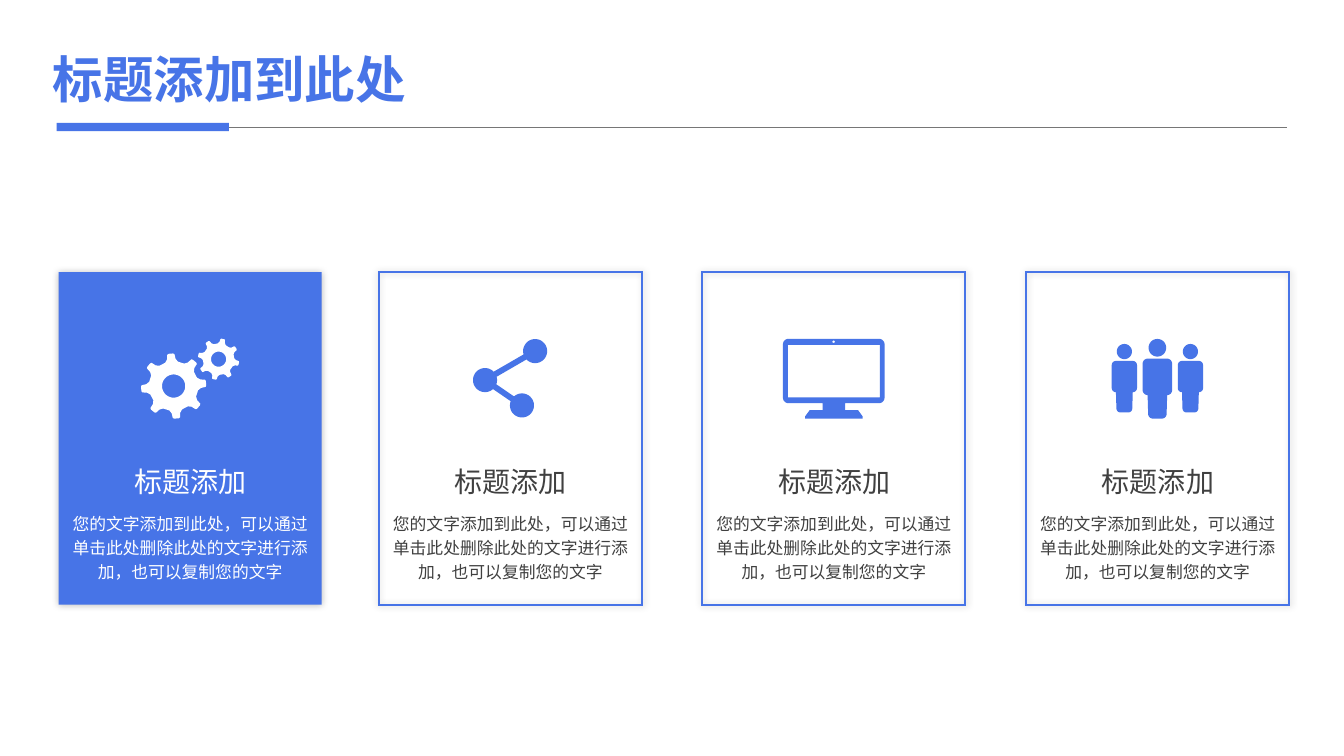
import math
import pptx
import pptx.util
import pptx.dml.color
import pptx.enum.shapes
import pptx.enum.text
import pptx.oxml
import pptx.oxml.ns

Pt = pptx.util.Pt
Kind = pptx.enum.shapes.MSO_SHAPE
Align = pptx.enum.text.PP_ALIGN
qn = pptx.oxml.ns.qn

HEAD = "标题添加"
BODY = "您的文字添加到此处，可以通过单击此处删除此处的文字进行添加，也可以复制您的文字"


def color(code):
    return pptx.dml.color.RGBColor.from_string(code)


def arc(x, y, size, start=0, stop=360, steps=36):
    """Points on a circle around x, y, from start to stop degrees."""
    turns = [math.radians(start + (stop - start) * i / steps)
             for i in range(steps + 1)]
    return [(x + size * math.cos(t), y + size * math.sin(t)) for t in turns]


def cog(x, y, size, tilt):
    """Points of an eight-toothed wheel whose first tooth is at tilt degrees."""
    tooth = [(-15, 0.76), (-9, 0.84), (-6.5, 0.98), (-4, 1),
             (4, 1), (6.5, 0.98), (9, 0.84), (15, 0.76)]
    points = []
    for i in range(8):
        for turn, part in tooth:
            t = math.radians(tilt + 45 * i + turn)
            points.append((x + size * part * math.cos(t),
                           y + size * part * math.sin(t)))
    return points


def person(x, y, size):
    """Head and body loops of a figure whose head top is at x, y."""
    half = (arc(7, 17.7, 3.5, -90, 0, 8) + arc(7, 36.7, 3.5, 0, 90, 8)
            + arc(3.2, 53.6, 3.4, 0, 90, 8))
    body = half + [(-a, b) for a, b in reversed(half)]
    return [[(x + a * size, y + b * size) for a, b in loop]
            for loop in (arc(0, 6.4, 6.3), body)]


class Deck:
    blue, white, dark, grey = "4774E7", "FFFFFF", "404040", "767676"
    font, cjk = "Arial", "Noto Sans CJK SC"

    def __init__(self):
        self.file = pptx.Presentation()
        self.file.slide_width, self.file.slide_height = Pt(960), Pt(540)
        self.slide = self.file.slides.add_slide(self.file.slide_layouts[5])
        self.shapes = self.slide.shapes

    def paint(self, shape, fill, line=None):
        shape.shadow.inherit = False
        if fill:
            shape.fill.solid()
            shape.fill.fore_color.rgb = color(fill)
        else:
            shape.fill.background()
        if line:
            shape.line.color.rgb = color(line)
            shape.line.width = Pt(1.5)
            edge = shape._element.spPr.find(qn("a:ln"))
            edge.append(edge.makeelement(qn("a:miter"), {"lim": "800000"}))
        else:
            shape.line.fill.background()
        return shape

    def rect(self, x, y, w, h, fill, line=None):
        shape = self.shapes.add_shape(Kind.RECTANGLE, Pt(x), Pt(y), Pt(w), Pt(h))
        return self.paint(shape, fill, line)

    def free(self, fill, *loops):
        """One shape of closed outlines; an inner loop is a hole."""
        draw = None
        for loop in loops:
            (x, y), *rest = [(Pt(a), Pt(b)) for a, b in loop]
            if draw is None:
                draw = self.shapes.build_freeform(x, y)
            else:
                draw.move_to(x, y)
            draw.add_line_segments(rest)
        return self.paint(draw.convert_to_shape(), fill)

    def line(self, x1, y1, x2, y2, width, fill):
        line = self.shapes.add_connector(
            pptx.enum.shapes.MSO_CONNECTOR.STRAIGHT,
            Pt(x1), Pt(y1), Pt(x2), Pt(y2))
        line.line.color.rgb = color(fill)
        line.line.width = Pt(width)
        props = line._element.spPr
        props.append(props.makeelement(qn("a:effectLst"), {}))

    def shade(self, shape, alpha):
        """Give the shape a soft black shadow of alpha percent."""
        space = pptx.oxml.ns.nsdecls("a")
        soft = pptx.oxml.parse_xml(
            f'<a:outerShdw {space} blurRad="{Pt(5)}" dist="0" algn="ctr" '
            f'rotWithShape="0"><a:srgbClr val="000000">'
            f'<a:alpha val="{alpha * 1000}"/></a:srgbClr></a:outerShdw>')
        shape._element.spPr.find(qn("a:effectLst")).append(soft)

    def text(self, text, x, y, w, h, box=None, size=12, fill=dark,
             font=font, bold=False, align=Align.CENTER, space=1.0):
        if box is None:
            box = self.shapes.add_textbox(Pt(x), Pt(y), Pt(w), Pt(h))
        box.left, box.top, box.width, box.height = Pt(x), Pt(y), Pt(w), Pt(h)
        frame = box.text_frame
        frame.word_wrap = True
        frame.auto_size = pptx.enum.text.MSO_AUTO_SIZE.NONE
        frame.vertical_anchor = pptx.enum.text.MSO_ANCHOR.TOP
        para = frame.paragraphs[0]
        para.alignment, para.line_spacing = align, space
        run = para.add_run()
        run.text = text
        run.font.size, run.font.bold, run.font.name = Pt(size), bold, font
        run.font.color.rgb = color(fill)
        props = run._r.get_or_add_rPr()
        east = props.makeelement(qn("a:ea"), {"typeface": self.cjk})
        props.find(qn("a:latin")).addnext(east)

    def title(self, text):
        self.text(text, 30.6, 31, 399, 51, box=self.shapes.title, size=36,
                  fill=self.blue, bold=True, align=Align.LEFT)
        self.line(41.8, 91.2, 919.5, 91.2, 0.5, self.grey)
        self.rect(40.5, 87.8, 123, 6, self.blue)

    def card(self, x, icon, full):
        """Card at x; a full one is blue with white content."""
        w = 187.9
        ink = self.white if full else self.dark
        back, edge = (self.blue, None) if full else (None, self.blue)
        self.shade(self.rect(x, 194.4, w, 237.6, back, edge), 25 if full else 20)
        self.text(HEAD, x + 29, 328.4, w - 57.6, 31.5, size=20, fill=ink,
                  font=self.cjk)
        self.text(BODY, x, 360.5, w, 58.5, fill=ink, space=1.2)
        icon(x + w / 2, 242)

    # Icons: x is the middle, y the top.
    def gears(self, x, y):
        loops = []
        for dx, dy, size, hole, tilt in [(-11.8, 33.8, 23.3, 8.3, -5),
                                         (20.3, 14.6, 14.8, 5.4, 12)]:
            loops += [cog(x + dx, y + dy, size, tilt),
                      arc(x + dx, y + dy, hole)]
        self.free(self.white, *loops)

    def share(self, x, y):
        """Two arms from a hub, as one outline; gap is half an arm's width."""
        hub, *ends = [(x - 18.2, y + 29.5), (x + 17.6, y + 8.8),
                      (x + 8.2, y + 47.6)]
        size, gap = 8.6, 14
        up, down = [math.degrees(math.atan2(b - hub[1], a - hub[0]))
                    for a, b in ends]
        points = []
        for end, t, start in [(ends[0], up, down - 360), (ends[1], down, up)]:
            points += arc(*hub, size, start + gap, t - gap)
            points += arc(*end, size, t + 180 + gap, t + 540 - gap)
        self.free(self.blue, points)

    def screen(self, x, y):
        left, right, low = x - 36.4, x + 36.2, y + 46
        frame = (arc(left + 4, y + 4, 4, 180, 270, 8)
                 + arc(right - 4, y + 4, 4, 270, 360, 8)
                 + arc(right - 4, low - 4, 4, 0, 90, 8)
                 + [(x + 8, low), (x + 8, y + 51), (x + 17.3, y + 51),
                    (x + 20.6, y + 55.5), (x + 20.6, y + 57),
                    (x - 20.6, y + 57), (x - 20.6, y + 55.5),
                    (x - 17.3, y + 51), (x - 8, y + 51), (x - 8, low)]
                 + arc(left + 4, low - 4, 4, 90, 180, 8))
        glass = [(x - 32.8, y + 4.3), (x + 32.8, y + 4.3),
                 (x + 32.8, y + 41.8), (x - 32.8, y + 41.8)]
        self.free(self.blue, frame, glass, arc(x - 0.2, y + 2.1, 0.9))

    def team(self, x, y):
        loops = []
        for dx, dy, size in [(-23.8, 3.6, 0.86), (23.4, 3.6, 0.86), (-0.2, 0, 1)]:
            loops += person(x + dx, y + dy, size)
        self.free(self.blue, *loops)


def main():
    deck = Deck()
    deck.title("标题添加到此处")
    icons = [deck.gears, deck.share, deck.screen, deck.team]
    for x, icon in zip([41.9, 270.7, 501.7, 733], icons):
        deck.card(x, icon, full=icon == deck.gears)
    deck.file.save("out.pptx")


if __name__ == "__main__":
    main()
